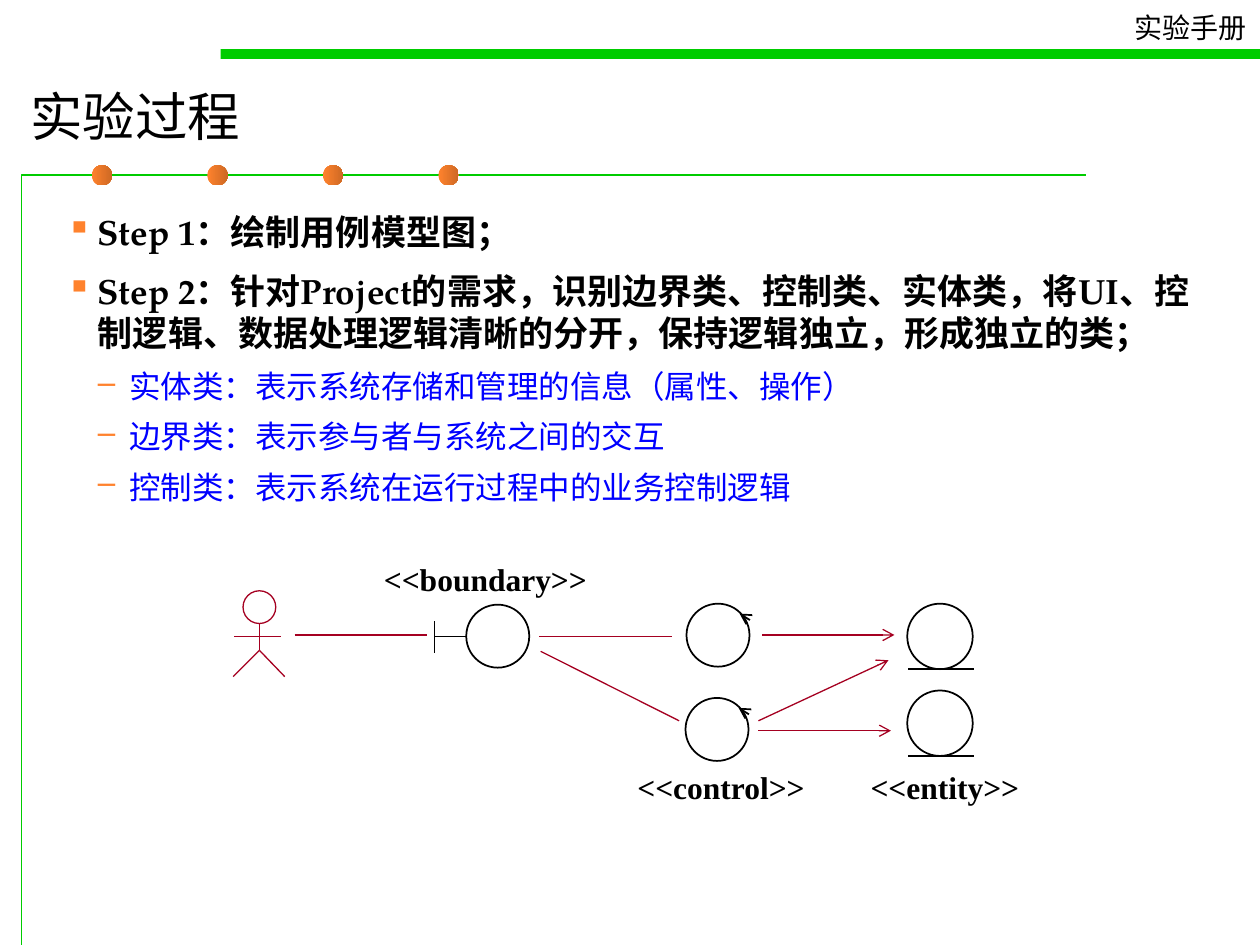
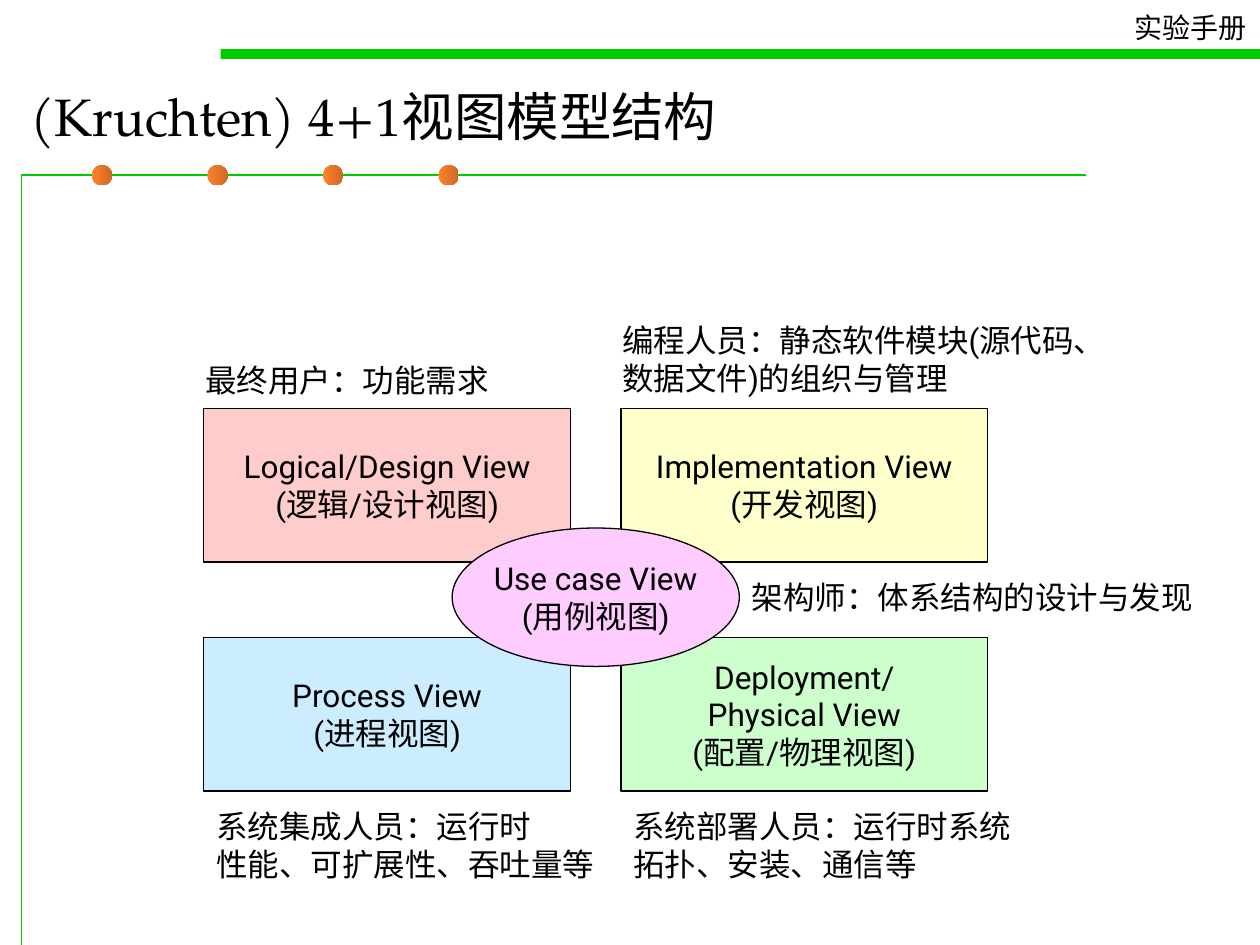
import pptx
import pptx.dml.color
import pptx.enum.shapes
import pptx.enum.text
import pptx.oxml
import pptx.oxml.ns
import pptx.util

Cm = pptx.util.Cm
Pt = pptx.util.Pt
SHAPE = pptx.enum.shapes.MSO_SHAPE
ALIGN = pptx.enum.text.PP_ALIGN
ANCHOR = pptx.enum.text.MSO_ANCHOR
SIZING = pptx.enum.text.MSO_AUTO_SIZE

HUES = {
    "green": "00CC00", "orange": "FF822D", "rust": "CD6924",
    "black": "000000", "blue": "0000FF", "wine": "A50021",
    "pink": "FFCCCC", "yellow": "FFFFCC", "sky": "CCECFF",
    "mint": "CCFFCC", "lilac": "FFCCFF",
}
SERIF, SANS, TIMES = "TeX Gyre Pagella", "Roboto", "Times New Roman"


def hue(name):
    return pptx.dml.color.RGBColor.from_string(HUES[name])


def add_xml(parent, tag, **attrs):
    node = pptx.oxml.parse_xml(f'<a:{tag} {pptx.oxml.ns.nsdecls("a")}/>')
    for key, value in attrs.items():
        node.set(key, value)
    parent.append(node)
    return node


def style(para, size, font, color="black", bold=False):
    for run in para.runs:
        run.font.size = Pt(size)
        run.font.name = font
        run.font.bold = bold
        run.font.color.rgb = hue(color)


def add_shape(shapes, kind, box, fill=None, line=None, width=0.75):
    shape = shapes.add_shape(kind, *map(Cm, box))
    shape.shadow.inherit = False
    if fill:
        shape.fill.solid()
        shape.fill.fore_color.rgb = hue(fill)
    else:
        shape.fill.background()
    if line:
        shape.line.color.rgb = hue(line)
        shape.line.width = Pt(width)
    else:
        shape.line.fill.background()
    return shape


def add_line(shapes, ends, color="black", width=1, arrow=False):
    kind = pptx.enum.shapes.MSO_CONNECTOR.STRAIGHT
    line = shapes.add_connector(kind, *map(Cm, ends))
    line.line.color.rgb = hue(color)
    line.line.width = Pt(width)
    props = line._element.spPr
    if arrow:
        add_xml(props.find(pptx.oxml.ns.qn("a:ln")), "tailEnd", type="arrow")
    add_xml(props, "effectLst")


def add_text(slide, box, text, size, font, bold=False, wrap=False):
    frame = slide.shapes.add_textbox(*map(Cm, box)).text_frame
    frame.word_wrap = wrap
    frame.auto_size = SIZING.NONE if wrap else SIZING.SHAPE_TO_FIT_TEXT
    frame.text = text
    for para in frame.paragraphs:
        style(para, size, font, bold=bold)
    return frame


def add_slide(deck, title):
    """Add a slide with the green rules, the dots, the header and a title."""
    slide = deck.slides.add_slide(deck.slide_layouts[5])
    shapes = slide.shapes

    path = shapes.build_freeform(Cm(0.43), deck.slide_height)
    path.add_line_segments([(Cm(0.43), Cm(3.53)), (Cm(21.9), Cm(3.53))], close=False)
    rule = path.convert_to_shape()
    rule.shadow.inherit = False
    rule.fill.background()
    rule.line.color.rgb = hue("green")
    rule.line.width = Pt(0.75)

    for i in range(4):
        dot = add_shape(shapes, SHAPE.OVAL, (1.85 + 2.33 * i, 3.33, 0.41, 0.41))
        dot.fill.gradient()
        dot.fill.gradient_angle = 0
        for stop, name in zip(dot.fill.gradient_stops, ("orange", "rust")):
            stop.color.rgb = hue(name)

    add_shape(shapes, SHAPE.RECTANGLE, (4.45, 0.99, 20.95, 0.2), "green")
    add_text(slide, (22.63, 0.08, 2.77, 0.94), "实验手册", 16, SERIF)

    head = shapes.title
    head.left, head.top, head.width, head.height = map(Cm, (0.36, 1.42, 23.6, 1.8))
    frame = head.text_frame
    frame.text = title
    frame.vertical_anchor = ANCHOR.MIDDLE
    frame.auto_size = SIZING.NONE
    frame.paragraphs[0].alignment = ALIGN.LEFT
    style(frame.paragraphs[0], 30, SERIF)
    return slide


def add_steps(slide, box, steps):
    """Write (level, text) pairs as a bulleted list."""
    text = "\n".join(text for _, text in steps)
    frame = add_text(slide, box, text, 20, SERIF, bold=True, wrap=True)
    for para, (level, _) in zip(frame.paragraphs, steps):
        para.level = level
        if level:
            style(para, 18, TIMES, "blue")
        para.space_before = Pt(4.5 if level else 7)
        para.space_after = Pt(2.7 if level else 3)
        props = para._p.get_or_add_pPr()
        props.set("marL", str(Cm(0.635 * (level + 1))))
        props.set("indent", str(-Cm(0.635)))
        add_xml(add_xml(props, "buClr"), "srgbClr", val=HUES["orange"])
        add_xml(props, "buChar", char="–" if level else "▪")


def add_ring(shapes, x, y, size, color="black", width=1):
    add_shape(shapes, SHAPE.OVAL, (x, y, size, size), None, color, width)


def draw_actor(shapes, x, y):
    add_ring(shapes, x + 0.2, y, 0.66, "wine", 0.75)
    mid, hip, foot = x + 0.53, y + 1.2, y + 1.73
    for ends in (
        (x + 0.02, y + 0.92, x + 0.96, y + 0.92),
        (mid, y + 0.66, mid, hip),
        (mid, hip, x, foot),
        (mid, hip, x + 1.04, foot),
    ):
        add_line(shapes, ends, "wine", 0.75)


def draw_bound(shapes, x, y):
    add_ring(shapes, x + 0.64, y, 1.27)
    add_line(shapes, (x + 0.64, y + 0.64, x, y + 0.64))
    add_line(shapes, (x, y + 0.33, x, y + 0.97))


def draw_control(shapes, x, y):
    add_ring(shapes, x, y, 1.27)
    add_line(shapes, (x + 1.15, y + 0.25, x + 1.07, y + 0.2), arrow=True)


def draw_entry(shapes, x, y):
    """Draw an entity: a ring that stands on a line."""
    add_ring(shapes, x, y, 1.32)
    add_line(shapes, (x + 1.34, y + 1.32, x + 0.02, y + 1.32))


def draw_classes(slide, left, top):
    icons = (
        (draw_actor, 0, 0.81), (draw_bound, 4.06, 1.09),
        (draw_control, 9.14, 1.07), (draw_control, 9.12, 2.97),
        (draw_entry, 13.59, 1.07), (draw_entry, 13.59, 2.82),
    )
    for draw, x, y in icons:
        draw(slide.shapes.add_group_shape().shapes, left + x, top + y)

    links = (
        (1.24, 1.7, 3.91, 1.7, False), (6.17, 1.73, 8.84, 1.73, False),
        (6.2, 2.03, 8.99, 3.43, False), (10.67, 1.7, 13.33, 1.7, True),
        (10.59, 3.43, 13.21, 2.21, True), (10.59, 3.63, 13.26, 3.63, True),
    )
    for x1, y1, x2, y2, arrow in links:
        ends = (left + x1, top + y1, left + x2, top + y2)
        add_line(slide.shapes, ends, "wine", 0.75, arrow)

    labels = (
        ("<<boundary>>", 2.79, 0.03, 4.6),
        ("<<control>>", 7.9, 4.22, 3.89),
        ("<<entity>>", 12.6, 4.22, 3.51),
    )
    for text, x, y, width in labels:
        box = (left + x, top + y, width, 1.19)
        frame = add_text(slide, box, text, 18, TIMES, bold=True)
        frame.vertical_anchor = ANCHOR.MIDDLE
        frame.margin_top = frame.margin_bottom = Cm(0.25)
        frame.paragraphs[0].line_spacing = 0.9


def add_view(slide, kind, box, text, fill):
    frame = add_shape(slide.shapes, kind, box, fill, "black").text_frame
    frame.word_wrap = False
    frame.vertical_anchor = ANCHOR.MIDDLE
    frame.text = text
    for para in frame.paragraphs:
        para.alignment = ALIGN.CENTER
        style(para, 18, SANS)


def draw_views(slide, left, top, width, height):
    """Draw four views in the corners of a box and one in its middle."""
    wide, high = 7.39, 3.1
    views = (
        ("Logical/Design View\n(逻辑/设计视图)", "pink"),
        ("Implementation View\n(开发视图)", "yellow"),
        ("Process View\n(进程视图)", "sky"),
        ("Deployment/\nPhysical View\n(配置/物理视图)", "mint"),
    )
    for i, (text, fill) in enumerate(views):
        row, col = divmod(i, 2)
        box = (left + col * (width - wide), top + row * (height - high), wide, high)
        add_view(slide, SHAPE.RECTANGLE, box, text, fill)

    wide, high = 5.79, 2.79
    box = (left + (width - wide) / 2, top + (height - high) / 2 - 0.05, wide, high)
    add_view(slide, SHAPE.OVAL, box, "Use case View\n(用例视图)", "lilac")

    notes = (
        ("最终用户：功能需求", -0.22, -1.07, 6.22, 1.02),
        ("编程人员：静态软件模块(源代码、\n数据文件)的组织与管理", 8.18, -1.88, 10.29, 1.78),
        ("系统集成人员：运行时\n性能、可扩展性、吞吐量等", 0, 7.92, 8.13, 1.78),
        ("系统部署人员：运行时系统\n拓扑、安装、通信等", 8.41, 7.92, 8.13, 1.78),
        ("架构师：体系结构的设计与发现", 10.8, 3.3, 9.4, 1.02),
    )
    for text, x, y, wide, high in notes:
        add_text(slide, (left + x, top + y, wide, high), text, 18, SANS)


def main():
    deck = pptx.Presentation()
    deck.slide_width, deck.slide_height = Cm(25.4), Cm(19.05)

    slide = add_slide(deck, "实验过程")
    add_steps(slide, (1.09, 4.11, 23.22, 14.2), (
        (0, "Step 1：绘制用例模型图；"),
        (0, "Step 2：针对Project的需求，识别边界类、控制类、实体类，将UI、控制逻辑、"
            "数据处理逻辑清晰的分开，保持逻辑独立，形成独立的类；"),
        (1, "实体类：表示系统存储和管理的信息（属性、操作）"),
        (1, "边界类：表示参与者与系统之间的交互"),
        (1, "控制类：表示系统在运行过程中的业务控制逻辑"),
    ))
    draw_classes(slide, 4.7, 11.1)

    slide = add_slide(deck, "(Kruchten) 4+1视图模型结构")
    draw_views(slide, 4.11, 8.23, 15.8, 7.72)

    deck.save("out.pptx")


if __name__ == "__main__":
    main()
